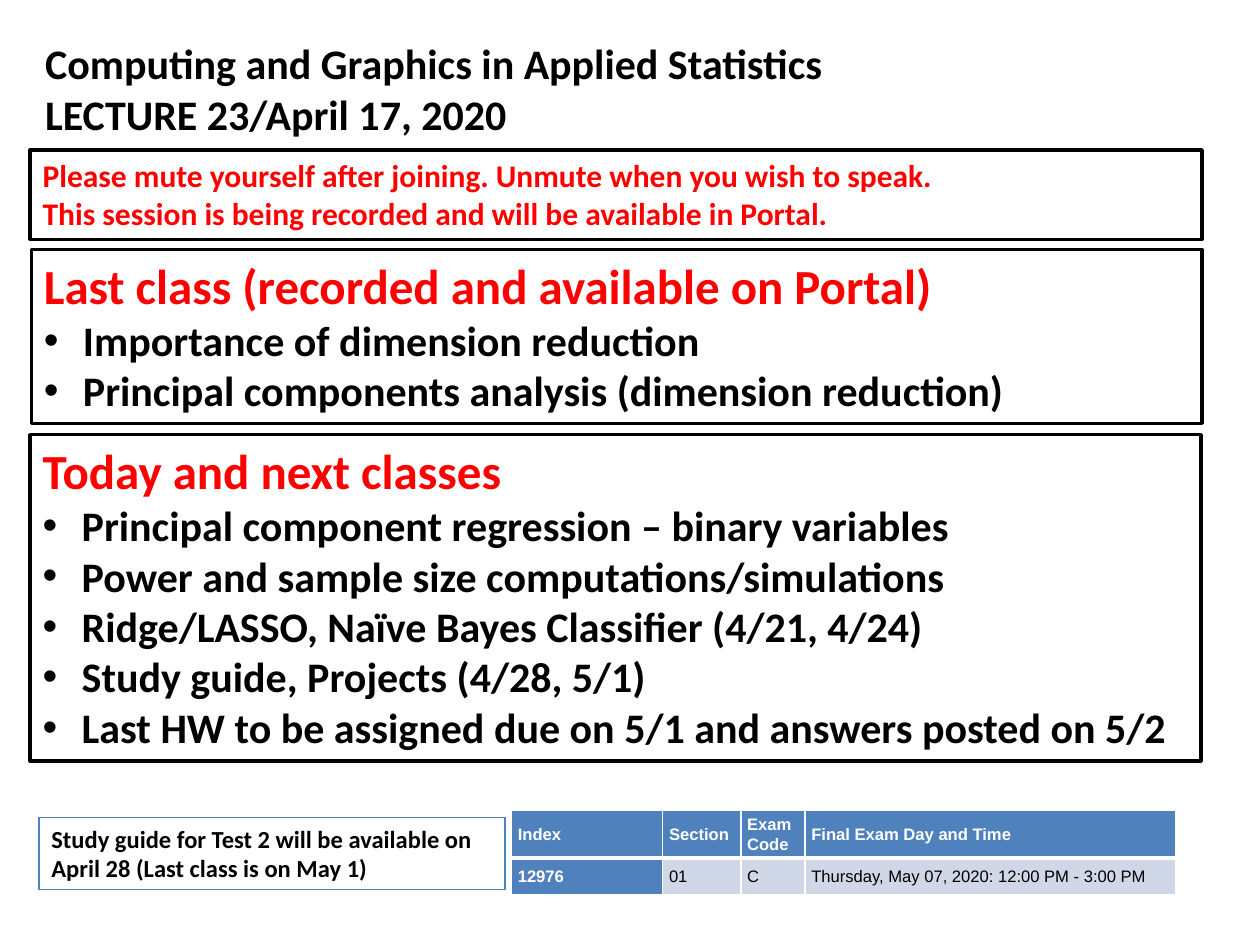
"""Build the lecture 23 agenda slide with its final exam table."""
from dataclasses import dataclass

import pptx
import pptx.dml.color
import pptx.enum.shapes
import pptx.enum.text
import pptx.oxml
import pptx.oxml.ns
import pptx.util
from pptx.dml.color import RGBColor
from pptx.util import Inches

BLACK = RGBColor(0x00, 0x00, 0x00)
WHITE = RGBColor(0xFF, 0xFF, 0xFF)
RED = RGBColor(0xFF, 0x00, 0x00)
BLUE = RGBColor(0x4F, 0x81, 0xBD)
PALE_BLUE = RGBColor(0xD0, 0xD8, 0xE8)


@dataclass(frozen=True)
class Line:
    text: str
    size: float = 24
    color: RGBColor = BLACK
    bullet: bool = False


@dataclass(frozen=True)
class Panel:
    left: float
    top: float
    width: float
    height: float
    lines: list[Line]
    fill: RGBColor | None = WHITE
    border: RGBColor | None = BLACK
    border_width: float = 2


def bullets(*texts: str) -> list[Line]:
    """Return one bulleted line per text."""
    return [Line(text, bullet=True) for text in texts]


PANELS = [
    Panel(0.26, 0.25, 8.28, 1.31, [
        Line("Computing and Graphics in Applied Statistics"),
        Line("LECTURE 23/April 17, 2020"),
    ], fill=None, border=None),
    Panel(0.25, 1.98, 9.29, 1.38, [
        Line("Last class (recorded and available on Portal)", 28, RED),
        *bullets("Importance of dimension reduction",
                 "Principal components analysis (dimension reduction)"),
    ]),
    Panel(0.24, 3.45, 9.29, 2.59, [
        Line("Today and next classes", 28, RED),
        *bullets("Principal component regression – binary variables",
                 "Power and sample size computations/simulations",
                 "Ridge/LASSO, Naïve Bayes Classifier (4/21, 4/24)",
                 "Study guide, Projects (4/28, 5/1)",
                 "Last HW to be assigned due on 5/1 and answers posted on 5/2"),
    ]),
    Panel(0.24, 1.19, 9.3, 0.71, [
        Line("Please mute yourself after joining. Unmute when you wish to speak.", 18, RED),
        Line("This session is being recorded and will be available in Portal.", 18, RED),
    ]),
    Panel(0.31, 6.49, 3.7, 0.57, [
        Line("Study guide for Test 2 will be available on April 28 (Last class is on May 1)", 14),
    ], fill=None, border=BLUE, border_width=0.75),
]

EXAM_ROWS = [
    ["Index", "Section", "Exam Code", "Final Exam Day and Time"],
    ["12976", "01", "C", "Thursday, May 07, 2020: 12:00 PM - 3:00 PM"],
]
COLUMN_WIDTHS = [1.2, 0.62, 0.51, 2.94]
ROW_HEIGHTS = [0.37, 0.29]


def add_bullet(paragraph) -> None:
    """Give a paragraph a round bullet with a hanging indent."""
    properties = paragraph._p.get_or_add_pPr()
    properties.set("marL", str(Inches(0.31)))
    properties.set("indent", str(-Inches(0.31)))
    namespace = pptx.oxml.ns.nsdecls("a")
    properties.append(pptx.oxml.parse_xml(f'<a:buFont {namespace} typeface="Arial"/>'))
    properties.append(pptx.oxml.parse_xml(f'<a:buChar {namespace} char="•"/>'))


def add_panel(slide, panel: Panel) -> None:
    """Draw a text box or a bordered box with its lines."""
    position = [Inches(value) for value in (panel.left, panel.top, panel.width, panel.height)]
    if panel.border is None:
        shape = slide.shapes.add_textbox(*position)
    else:
        shape = slide.shapes.add_shape(pptx.enum.shapes.MSO_SHAPE.RECTANGLE, *position)
        shape.shadow.inherit = False
        shape.line.color.rgb = panel.border
        shape.line.width = pptx.util.Pt(panel.border_width)
        if panel.fill is None:
            shape.fill.background()
        else:
            shape.fill.solid()
            shape.fill.fore_color.rgb = panel.fill
    frame = shape.text_frame
    frame.word_wrap = True
    frame.vertical_anchor = pptx.enum.text.MSO_ANCHOR.TOP
    for index, line in enumerate(panel.lines):
        paragraph = frame.add_paragraph() if index else frame.paragraphs[0]
        paragraph.text = line.text
        paragraph.alignment = pptx.enum.text.PP_ALIGN.LEFT
        set_font(paragraph, "Calibri", line.size, line.color, True)
        if line.bullet:
            add_bullet(paragraph)


def set_font(paragraph, name: str, size: float, color: RGBColor, bold: bool) -> None:
    """Set the font of a whole paragraph."""
    paragraph.font.name = name
    paragraph.font.size = pptx.util.Pt(size)
    paragraph.font.color.rgb = color
    paragraph.font.bold = bold


def set_borders(cell, top_width: float, bottom_width: float) -> None:
    """Give a cell white borders, one point wide at the sides."""
    widths = {"lnL": 1, "lnR": 1, "lnT": top_width, "lnB": bottom_width}
    properties = cell._tc.get_or_add_tcPr()
    for index, (tag, width) in enumerate(widths.items()):
        properties.insert(index, pptx.oxml.parse_xml(
            f'<a:{tag} {pptx.oxml.ns.nsdecls("a")} w="{pptx.util.Pt(width)}">'
            f'<a:solidFill><a:srgbClr val="{WHITE}"/></a:solidFill></a:{tag}>'))


def add_exam_table(slide) -> None:
    """Draw the final exam table."""
    table = slide.shapes.add_table(
        len(EXAM_ROWS), len(COLUMN_WIDTHS), Inches(4.06), Inches(6.43),
        Inches(sum(COLUMN_WIDTHS)), Inches(sum(ROW_HEIGHTS))).table
    for column, width in zip(table.columns, COLUMN_WIDTHS):
        column.width = Inches(width)
    for row, height in zip(table.rows, ROW_HEIGHTS):
        row.height = Inches(height)
    for row_index, texts in enumerate(EXAM_ROWS):
        for column_index, text in enumerate(texts):
            cell = table.cell(row_index, column_index)
            heading = row_index == 0 or column_index == 0
            cell.fill.solid()
            cell.fill.fore_color.rgb = BLUE if heading else PALE_BLUE
            cell.vertical_anchor = pptx.enum.text.MSO_ANCHOR.MIDDLE
            cell.margin_left = cell.margin_right = Inches(0.05)
            cell.margin_top = cell.margin_bottom = Inches(0.02)
            paragraph = cell.text_frame.paragraphs[0]
            paragraph.text = text
            paragraph.line_spacing = 1.07
            paragraph.space_before = pptx.util.Pt(7.5)
            paragraph.space_after = pptx.util.Pt(3.8)
            set_font(paragraph, "Arial", 9.5, WHITE if heading else BLACK, heading)
            set_borders(cell, *((1, 3) if row_index == 0 else (3, 1)))


def main() -> None:
    """Build and save the presentation."""
    presentation = pptx.Presentation()
    presentation.slide_width = Inches(10)
    presentation.slide_height = Inches(7.5)
    slide = presentation.slides.add_slide(presentation.slide_layouts[6])
    for panel in PANELS:
        add_panel(slide, panel)
    add_exam_table(slide)
    presentation.save("out.pptx")


main()
